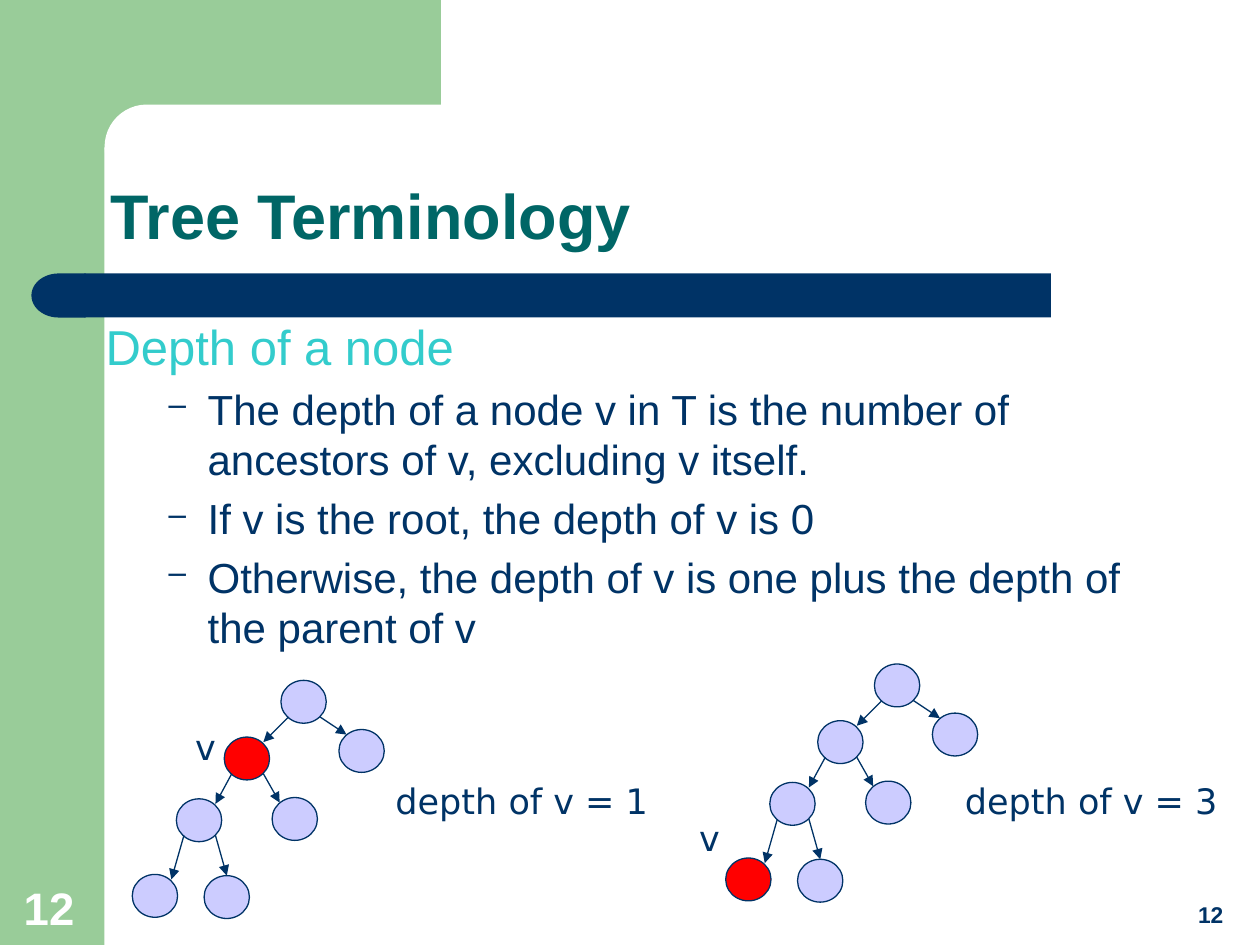
from lxml import etree
from pptx import Presentation
from pptx.dml.color import RGBColor
from pptx.enum.shapes import MSO_CONNECTOR, MSO_SHAPE as SHAPE
from pptx.enum.text import MSO_ANCHOR as ANCHOR
from pptx.oxml.ns import qn
from pptx.util import Inches, Pt

COLORS = {"green": "99CC99", "navy": "003366", "white": "FFFFFF",
          "teal": "006666", "aqua": "33CCCC", "node": "CCCCFF", "marked": "FF0000"}

# Tree: node corners, then edges as parent, child
NODE_W, NODE_H = 0.36, 0.34
NODES = {"root": (2.23, 5.4), "left": (1.78, 5.85), "right": (2.69, 5.79),
         "inner": (1.4, 6.34), "mid": (2.16, 6.33),
         "leaf1": (1.05, 6.94), "leaf2": (1.62, 6.95)}
EDGES = [("root", "left"), ("root", "right"), ("left", "inner"),
         ("left", "mid"), ("inner", "leaf1"), ("inner", "leaf2")]
NEAR, FAR = 0.06, 0.31  # where an edge meets a node, from its left side

DEFINITION = [
    "The depth of a node v in T is the number of ancestors of v, excluding v itself.",
    "If v is the root, the depth of v is 0",
    "Otherwise, the depth of v is one plus the depth of the parent of v",
]


def rgb(name):
    return RGBColor.from_string(COLORS[name])


def add_block(s, kind, box, fill, line=None):
    sp = s.shapes.add_shape(kind, *map(Inches, box))
    sp.shadow.inherit = False
    sp.fill.solid()
    sp.fill.fore_color.rgb = rgb(fill)
    if line:
        sp.line.color.rgb = rgb(line)
        sp.line.width = Pt(0.75)
    else:
        sp.line.fill.background()
    return sp


def style(p, size, color, font="Arial", bold=False):
    for r in p.runs:
        r.font.size, r.font.name, r.font.bold = Pt(size), font, bold
        r.font.color.rgb = rgb(color)


def add_text(s, box, text, size, color, font="Arial", bold=False,
             wrap=False, anchor=ANCHOR.TOP):
    tf = s.shapes.add_textbox(*map(Inches, box)).text_frame
    tf.word_wrap, tf.vertical_anchor = wrap, anchor
    tf.text = text
    style(tf.paragraphs[0], size, color, font, bold)
    return tf


def space_before(p, percent):
    pPr = p._p.get_or_add_pPr()
    spc = etree.SubElement(pPr, qn("a:spcBef"))
    etree.SubElement(spc, qn("a:spcPct"), val=str(percent * 1000))
    return pPr


def add_dash(p):
    pPr = space_before(p, 20)
    pPr.set("marL", str(Inches(0.81)))
    pPr.set("indent", str(Inches(-0.31)))
    color = etree.SubElement(pPr, qn("a:buClr"))
    etree.SubElement(color, qn("a:srgbClr"), val=COLORS["navy"])
    etree.SubElement(pPr, qn("a:buSzPct"), val="75000")
    etree.SubElement(pPr, qn("a:buChar"), char="–")


def add_arrow(s, x1, y1, x2, y2):
    c = s.shapes.add_connector(MSO_CONNECTOR.STRAIGHT, *map(Inches, (x1, y1, x2, y2)))
    c.line.color.rgb = rgb("navy")
    c.line.width = Pt(0.75)
    etree.SubElement(c.line._get_or_add_ln(), qn("a:tailEnd"), type="triangle")
    etree.SubElement(c._element.spPr, qn("a:effectLst"))


def add_tree(s, dx, dy, marked, label_at):
    nodes = {name: (x + dx, y + dy) for name, (x, y) in NODES.items()}
    for name, (x, y) in nodes.items():
        fill = "marked" if name == marked else "node"
        add_block(s, SHAPE.OVAL, (x, y, NODE_W, NODE_H), fill, "navy")
    for parent, child in EDGES:
        (px, py), (cx, cy) = nodes[parent], nodes[child]
        start, end = (NEAR, FAR) if cx < px else (FAR, NEAR)
        end_y = 0.04
        if child == "leaf2":  # this edge meets its node at the top
            end, end_y = NODE_W / 2, 0
        add_arrow(s, px + start, py + 0.29, cx + end, cy + end_y)
    add_text(s, (*label_at, 0.37, 0.43), "v", 20, "navy", "DejaVu Sans")


def add_frame(s):
    add_block(s, SHAPE.RECTANGLE, (0, 0, 0.83, 7.5), "green")
    add_block(s, SHAPE.RECTANGLE, (0.75, 0, 2.75, 1.17), "green")
    panel = add_block(s, SHAPE.ROUNDED_RECTANGLE, (0.83, 0.83, 5.58, 0.67), "white")
    panel.adjustments[0] = 0.5
    add_block(s, SHAPE.RECTANGLE, (0.67, 2.17, 7.67, 0.35), "navy")
    cap = add_block(s, SHAPE.FLOWCHART_DELAY, (0.25, 2.17, 0.43, 0.35), "navy")
    cap._element.spPr.get_or_add_xfrm().set("flipH", "1")


def add_body(s):
    tf = add_text(s, (0.74, 2.46, 8.5, 3.36), "Depth of a node", 28, "aqua", wrap=True)
    space_before(tf.paragraphs[0], 20)
    for text in DEFINITION:
        p = tf.add_paragraph()
        p.text = text
        p.level = 1
        add_dash(p)
        style(p, 24, "navy")


def main():
    prs = Presentation()
    prs.slide_width, prs.slide_height = Inches(10), Inches(7.5)
    s = prs.slides.add_slide(prs.slide_layouts[6])

    # Frame and slide numbers
    add_frame(s)
    add_text(s, (9.41, 7.1, 0.42, 0.32), "12", 13, "navy", bold=True)
    add_text(s, (0.09, 6.94, 0.64, 0.53), "12", 26, "white", bold=True,
             wrap=True, anchor=ANCHOR.BOTTOM)

    # Title and definition
    title = add_text(s, (0.78, 0.81, 8.5, 1.25), "Tree Terminology", 36, "teal",
                     bold=True, wrap=True, anchor=ANCHOR.BOTTOM)
    title.paragraphs[0].line_spacing = 0.9
    add_body(s)

    # Example trees
    for x, depth in ((3.04, 1), (7.56, 3)):
        add_text(s, (x, 6.14, 2.22, 0.43), f"depth of v = {depth}", 20, "navy",
                 "DejaVu Sans")
    add_tree(s, 0, 0, "left", (1.45, 5.71))
    add_tree(s, 4.71, -0.13, "leaf1", (5.45, 6.43))

    prs.save("out.pptx")


if __name__ == "__main__":
    main()
